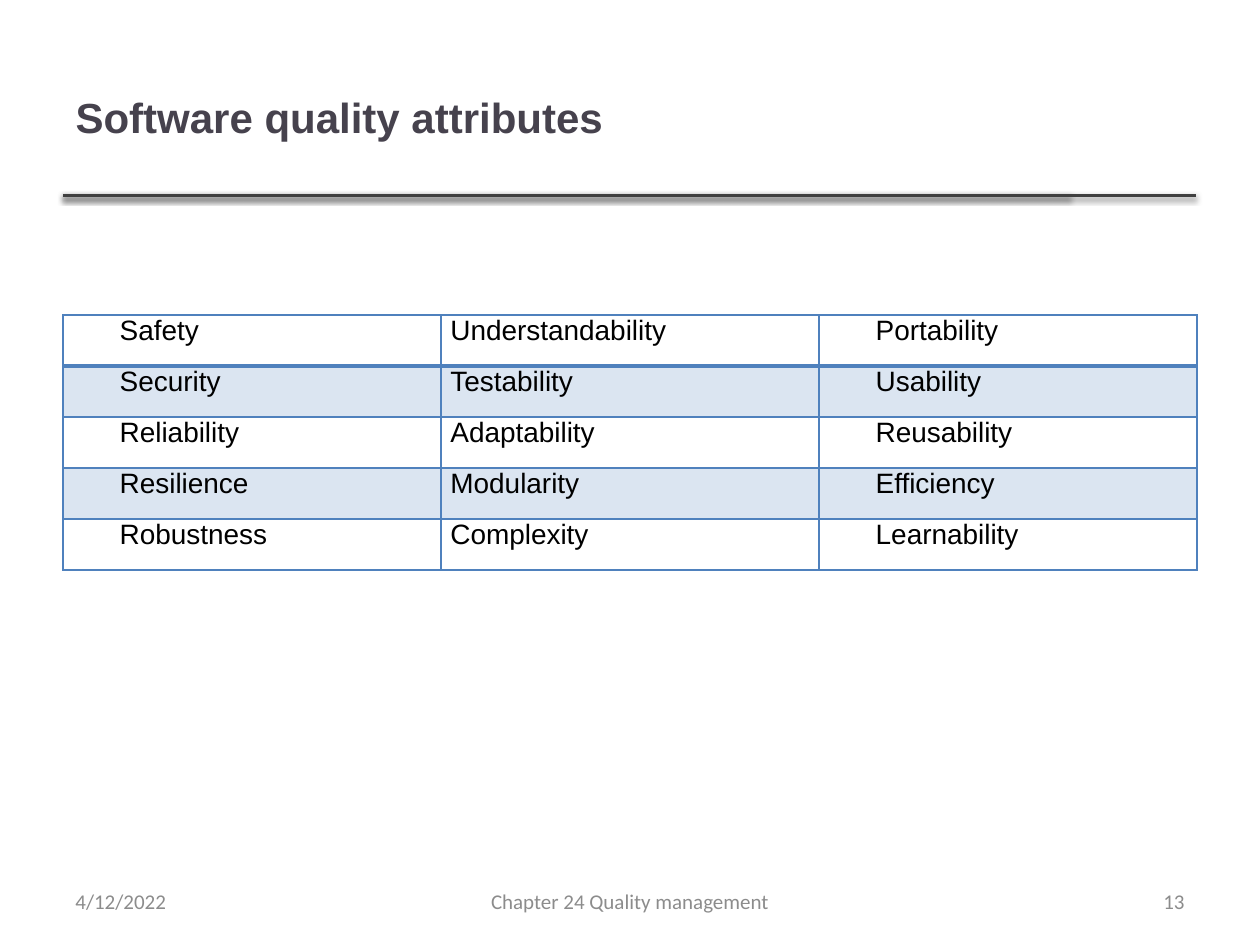
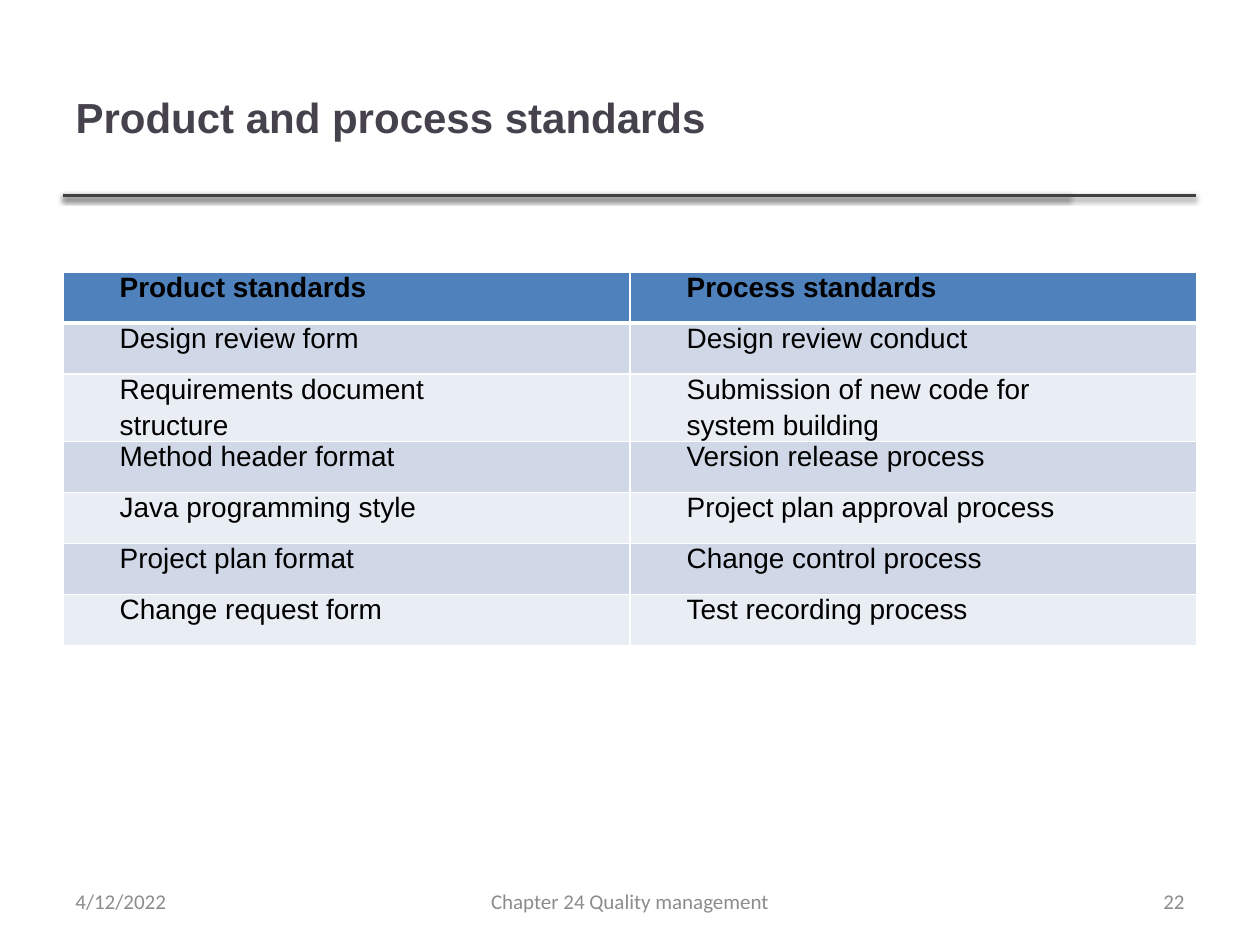
from dataclasses import dataclass

from lxml import etree
from pptx import Presentation
from pptx import util as u
from pptx.dml.color import RGBColor
from pptx.enum import shapes, text
from pptx.oxml.ns import qn

PX = 4572  # EMU per px, 200 px to the inch
INK, TITLE_INK, RULE_INK, FOOT_INK = "000000", "46424D", "404040", "8C8C8C"
BLUE, WHITE = "4F81BD", "FFFFFF"
LEFT, CENTER, RIGHT, JUSTIFY = (
    text.PP_ALIGN.LEFT, text.PP_ALIGN.CENTER, text.PP_ALIGN.RIGHT, text.PP_ALIGN.JUSTIFY)


@dataclass
class Fill:
    color: str
    alpha: int = 100


@dataclass
class Footer:
    label: str
    left: int
    width: int
    align: text.PP_ALIGN


@dataclass
class TableSlide:
    title: str
    number: int
    top: int
    rows: list[tuple[str, ...]]
    bands: tuple[Fill | None, Fill | None]
    border: str
    head_line: int
    head_fill: Fill | None = None
    flush_col: int | None = None  # column without a first-line indent


SLIDES = [
    TableSlide(
        "Software quality attributes", 13, 500,
        [("Safety", "Understandability", "Portability"),
         ("Security", "Testability", "Usability"),
         ("Reliability", "Adaptability", "Reusability"),
         ("Resilience", "Modularity", "Efficiency"),
         ("Robustness", "Complexity", "Learnability")],
        bands=(Fill(BLUE, 20), None), border=BLUE, head_line=2, flush_col=1),
    TableSlide(
        "Product and process standards", 22, 432,
        [("Product standards", "Process standards"),
         ("Design review form", "Design review conduct"),
         ("Requirements document\nstructure", "Submission of new code for\nsystem building"),
         ("Method header format", "Version release process"),
         ("Java programming style", "Project plan approval process"),
         ("Project plan format", "Change control process"),
         ("Change request form", "Test recording process")],
        bands=(Fill("D0D8E8"), Fill("E9EDF4")), border=WHITE, head_line=3,
        head_fill=Fill(BLUE)),
]


def px(*lengths: int) -> list[int]:
    return [n * PX for n in lengths]


def rgb(color: str) -> RGBColor:
    return RGBColor.from_string(color)


def sub(parent, tag: str, **attrs):
    return etree.SubElement(parent, qn(tag), {k: str(v) for k, v in attrs.items()})


def write(tf, content: str, *, size: int, font: str, color: str, bold=False,
          align=LEFT, indent=0, before=0, after=0) -> None:
    """Write one paragraph for each line of content."""
    for i, line in enumerate(content.split("\n")):
        p = tf.paragraphs[0] if i == 0 else tf.add_paragraph()
        p.alignment = align
        p.space_before, p.space_after = u.Pt(before), u.Pt(after)
        if indent:
            p._p.get_or_add_pPr().set("indent", str(indent * PX))
        r = p.add_run()
        r.text = line
        r.font.size, r.font.name, r.font.bold = u.Pt(size), font, bold
        r.font.color.rgb = rgb(color)


# Shared frame: rules, title, footers
def add_rule(s, right: int) -> None:
    sp = s.shapes.add_connector(shapes.MSO_CONNECTOR.STRAIGHT, *px(100, 310, right, 310))
    sp.line.color.rgb, sp.line.width = rgb(RULE_INK), u.Pt(2)
    effects = sub(sp._element.spPr, "a:effectLst")
    shadow = sub(effects, "a:outerShdw", blurRad=u.Pt(3.1), dist=u.Pt(1.6),
                 dir=90 * 60000, rotWithShape=0)
    sub(sub(shadow, "a:srgbClr", val=INK), "a:alpha", val=38000)


def add_title(s, title: str) -> None:
    sp = s.shapes.title
    sp.left, sp.top, sp.width, sp.height = px(100, 60, 1596, 250)
    sp.text_frame.vertical_anchor = text.MSO_ANCHOR.MIDDLE
    write(sp.text_frame, title, size=24, font="Arial", color=TITLE_INK, bold=True)


def add_footer(s, footer: Footer) -> None:
    tf = s.shapes.add_textbox(*px(footer.left, 1390, footer.width, 80)).text_frame
    tf.word_wrap = True
    tf.vertical_anchor = text.MSO_ANCHOR.MIDDLE
    write(tf, footer.label, size=12, font="Calibri", color=FOOT_INK, align=footer.align)


# Tables
def set_borders(cell, color: str, top: int, bottom: int) -> None:
    tcPr = cell._tc.get_or_add_tcPr()
    for side, width in (("L", 1), ("R", 1), ("T", top), ("B", bottom)):
        ln = sub(tcPr, f"a:ln{side}", w=u.Pt(width))
        sub(sub(ln, "a:solidFill"), "a:srgbClr", val=color)


def set_fill(cell, fill: Fill | None) -> None:
    if fill is None:
        cell.fill.background()
        return
    cell.fill.solid()
    cell.fill.fore_color.rgb = rgb(fill.color)
    if fill.alpha < 100:
        clr = cell._tc.tcPr.find(qn("a:solidFill")).find(qn("a:srgbClr"))
        sub(clr, "a:alpha", val=fill.alpha * 1000)


def add_grid(s, spec_: TableSlide) -> None:
    n_rows, n_cols = len(spec_.rows), len(spec_.rows[0])
    row_height, width = 81, 1800
    table = s.shapes.add_table(
        n_rows, n_cols, *px(100, spec_.top, width, n_rows * row_height)).table
    for col in table.columns:
        col.width = width // n_cols * PX
    has_head = spec_.head_fill is not None
    for r, labels in enumerate(spec_.rows):
        table.rows[r].height = row_height * PX
        is_head = has_head and r == 0
        for c, label in enumerate(labels):
            cell = table.cell(r, c)
            cell.margin_left, cell.margin_right, cell.margin_top, cell.margin_bottom = px(
                15, 15, 0, 0)
            set_borders(cell, spec_.border,
                        top=spec_.head_line if r == 1 else 1,
                        bottom=spec_.head_line if r == 0 else 1)
            # Bands start at the second row
            set_fill(cell, spec_.head_fill if r == 0 else spec_.bands[(r - 1) % 2])
            write(cell.text_frame, label, size=16, font="Arial", color=INK, bold=is_head,
                  align=LEFT if has_head and r > 0 and c == 0 else JUSTIFY,
                  indent=0 if c == spec_.flush_col else 75,
                  before=3 if is_head or not has_head else 0,
                  after=3 if has_head or r == n_rows - 1 else 0)


def add_table_slide(prs, item: TableSlide) -> None:
    s = prs.slides.add_slide(prs.slide_layouts[5])
    for right in (1698, 1898):
        add_rule(s, right)
    add_title(s, item.title)
    add_grid(s, item)
    for footer in (Footer("Chapter 24 Quality management", 683, 634, CENTER),
                   Footer(str(item.number), 1433, 467, RIGHT),
                   Footer("4/12/2022", 100, 467, LEFT)):
        add_footer(s, footer)


def main() -> None:
    prs = Presentation()
    prs.slide_width, prs.slide_height = px(2000, 1500)
    for item in SLIDES:
        add_table_slide(prs, item)
    prs.save("out.pptx")


if __name__ == "__main__":
    main()
